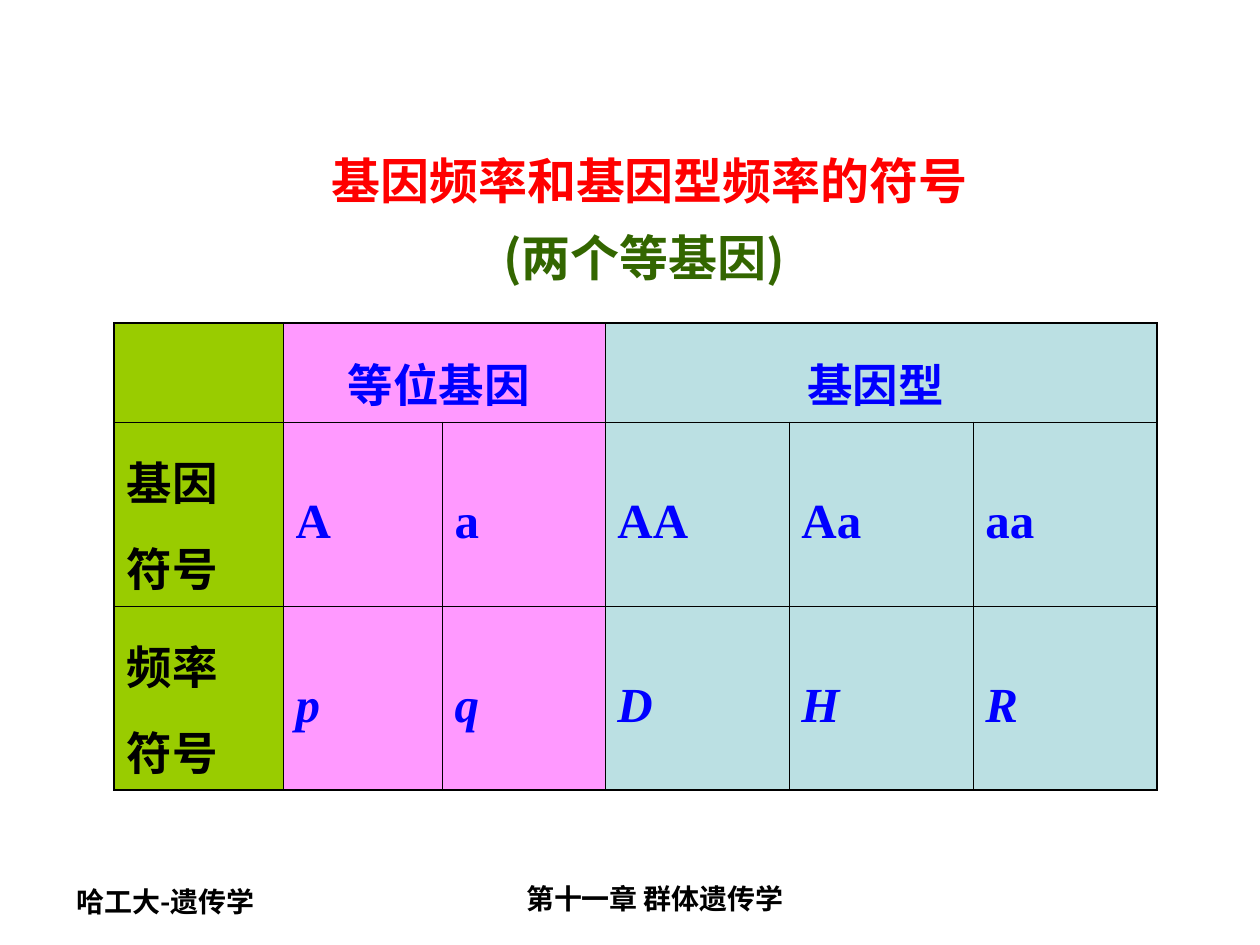
from dataclasses import dataclass

from lxml import etree
from pptx import Presentation
from pptx import util as u
from pptx.dml.color import RGBColor
from pptx.enum import text
from pptx.oxml import ns

PX_PER_INCH = 126
CJK, LATIN, SERIF = "Noto Sans CJK SC", "Arial", "Times New Roman"
BLACK = RGBColor(0x00, 0x00, 0x00)
RED = RGBColor(0xFF, 0x00, 0x00)
DARK_GREEN = RGBColor(0x33, 0x66, 0x00)
BLUE = RGBColor(0x00, 0x00, 0xFF)
LIME = RGBColor(0x99, 0xCC, 0x00)
PINK = RGBColor(0xFF, 0x99, 0xFF)
PALE_TEAL = RGBColor(0xBB, 0xE0, 0xE3)
LEFT, CENTER, JUSTIFY = text.PP_ALIGN.LEFT, text.PP_ALIGN.CENTER, text.PP_ALIGN.JUSTIFY
LINE_SPACING = 1.3
INNER_LINE, OUTER_LINE = u.Pt(0.45), u.Pt(1.08)


@dataclass(frozen=True)
class Footer:
    words: str
    left: int
    top: int
    width: int
    font: str
    align: text.PP_ALIGN


@dataclass(frozen=True)
class Entry:
    words: str
    row: int
    col: int
    size: int = 28
    color: RGBColor = BLUE
    align: text.PP_ALIGN = LEFT
    italic: bool = False
    span: int = 1


FOOTERS = [
    Footer("哈工大-遗传学", 64, 878, 294, CJK, LEFT),
    Footer("第十一章 群体遗传学", 422, 875, 466, LATIN, CENTER),
]
COLUMN_WIDTHS = [169, 159, 163, 184, 184, 184]
ROW_HEIGHTS = [99, 184, 184]
COLUMN_FILLS = [LIME, PINK, PINK, PALE_TEAL, PALE_TEAL, PALE_TEAL]
ALLELES_AND_GENOTYPES = ["A", "a", "AA", "Aa", "aa"]
FREQUENCIES = ["p", "q", "D", "H", "R"]
JUSTIFIED = {"A", "AA", "p"}


def px(length: int) -> int:
    return u.Emu(round(length * u.Inches(1) / PX_PER_INCH))


def style(font, name: str, size: int, color: RGBColor, italic: bool = False) -> None:
    font.name, font.size, font.bold = name, u.Pt(size), True
    font.color.rgb = color
    if italic:
        font.italic = True


def set_east_asian_font(run) -> None:
    properties = run._r.get_or_add_rPr()
    etree.SubElement(properties, ns.qn("a:ea"), typeface=CJK)


def add_title(slide) -> None:
    title = slide.shapes.title
    title.left, title.top, title.width, title.height = px(233), px(135), px(833), px(149)
    title.text_frame.vertical_anchor = text.MSO_ANCHOR.MIDDLE
    heading = title.text_frame.paragraphs[0]
    heading.alignment, heading.line_spacing = CENTER, LINE_SPACING
    for words, color in [("基因频率和基因型频率的符号", RED), ("(两个等基因) ", DARK_GREEN)]:
        if heading.runs:
            heading.add_line_break()
        run = heading.add_run()
        run.text = words
        style(run.font, CJK, 28, color)
        set_east_asian_font(run)


def add_footer(slide, footer: Footer) -> None:
    box = slide.shapes.add_textbox(px(footer.left), px(footer.top), px(footer.width), px(49))
    box.text_frame.word_wrap = True
    paragraph = box.text_frame.paragraphs[0]
    paragraph.text = footer.words
    paragraph.alignment = footer.align
    style(paragraph.font, footer.font, 16, BLACK)
    set_east_asian_font(paragraph.runs[0])


def add_borders(cell, row: int, col: int, span: int) -> None:
    """Rule all four sides, heavier where the cell meets the table's edge."""
    on_edge = {
        "lnL": col == 0,
        "lnR": col + span == len(COLUMN_WIDTHS),
        "lnT": row == 0,
        "lnB": row == len(ROW_HEIGHTS) - 1,
    }
    properties = cell._tc.get_or_add_tcPr()
    for side, outer in on_edge.items():
        line = etree.SubElement(properties, ns.qn(f"a:{side}"), w=str(OUTER_LINE if outer else INNER_LINE))
        fill = etree.SubElement(line, ns.qn("a:solidFill"))
        etree.SubElement(fill, ns.qn("a:srgbClr"), val=str(BLACK))


def fill_entry(table, entry: Entry) -> None:
    cell = table.cell(entry.row, entry.col)
    if entry.span > 1:
        cell.merge(table.cell(entry.row, entry.col + entry.span - 1))
    cell.text = entry.words
    for paragraph in cell.text_frame.paragraphs:
        paragraph.alignment, paragraph.line_spacing = entry.align, LINE_SPACING
        style(paragraph.font, SERIF, entry.size, entry.color, entry.italic)
        for run in paragraph.runs:
            set_east_asian_font(run)


def table_entries() -> list[Entry]:
    entries = [
        Entry("等位基因 ", 0, 1, 26, align=CENTER, span=2),
        Entry("基因型 ", 0, 3, 26, align=CENTER, span=3),
        Entry("基因\n符号", 1, 0, 26, BLACK),
        Entry("频率\n符号", 2, 0, 26, BLACK),
    ]
    for row, symbols in enumerate([ALLELES_AND_GENOTYPES, FREQUENCIES], start=1):
        for col, symbol in enumerate(symbols, start=1):
            align = JUSTIFY if symbol in JUSTIFIED else LEFT
            entries.append(Entry(symbol, row, col, align=align, italic=row == 2))
    return entries


def add_symbol_table(slide) -> None:
    frame = slide.shapes.add_table(
        len(ROW_HEIGHTS), len(COLUMN_WIDTHS), px(114), px(323),
        px(sum(COLUMN_WIDTHS)), px(sum(ROW_HEIGHTS)),
    )
    table = frame.table
    table.first_row = table.horz_banding = False
    for column, width in zip(table.columns, COLUMN_WIDTHS):
        column.width = px(width)
    for row, height in zip(table.rows, ROW_HEIGHTS):
        row.height = px(height)
    for entry in table_entries():
        fill_entry(table, entry)
    for row in range(len(ROW_HEIGHTS)):
        for col, color in enumerate(COLUMN_FILLS):
            cell = table.cell(row, col)
            cell.vertical_anchor = text.MSO_ANCHOR.MIDDLE
            cell.margin_left = cell.margin_right = u.Inches(0.1)
            cell.margin_top = cell.margin_bottom = u.Inches(0.05)
            add_borders(cell, row, col, cell.span_width if cell.is_merge_origin else 1)
            cell.fill.solid()
            cell.fill.fore_color.rgb = color


def main() -> None:
    deck = Presentation()
    deck.slide_width, deck.slide_height = px(1260), px(945)
    slide = deck.slides.add_slide(deck.slide_layouts[5])
    for footer in FOOTERS:
        add_footer(slide, footer)
    add_title(slide)
    add_symbol_table(slide)
    deck.save("out.pptx")


if __name__ == "__main__":
    main()
